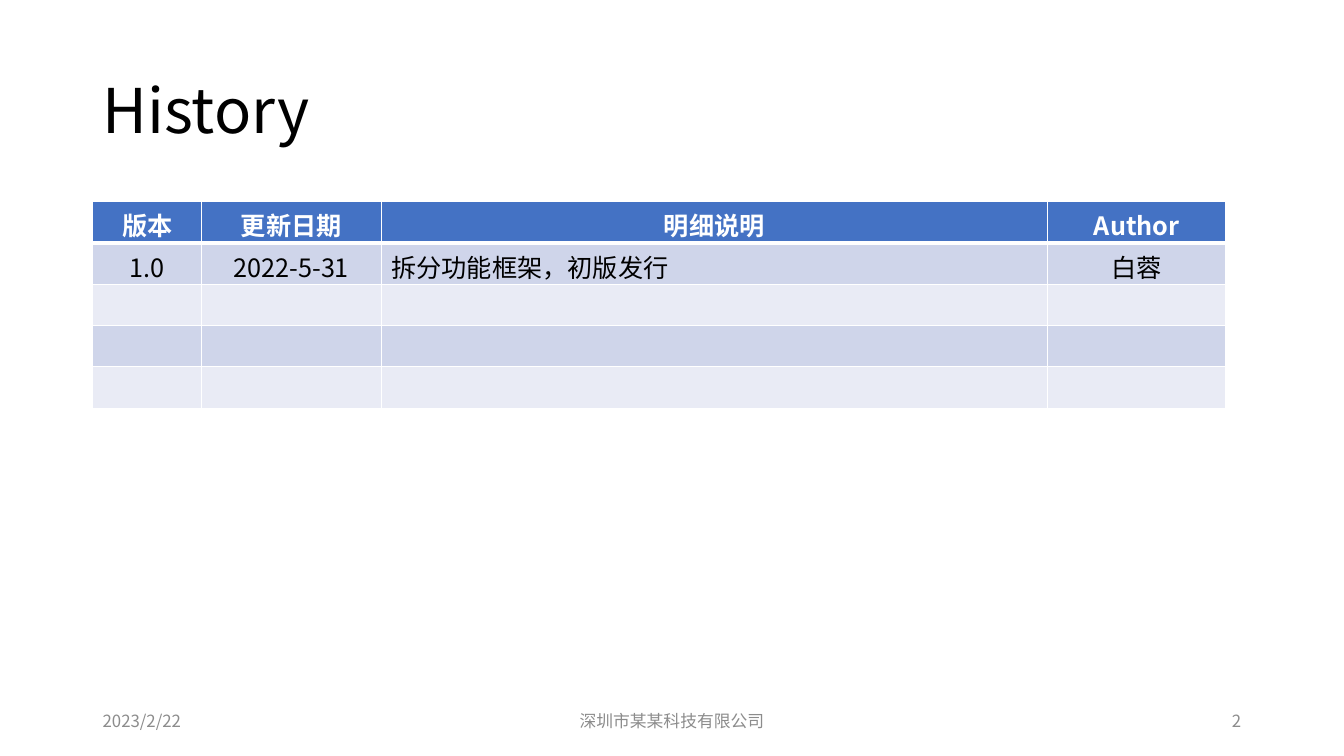
"""Build the version history slide with its table and footer."""
from lxml import etree
from pptx import Presentation
from pptx.dml.color import RGBColor
from pptx.enum.text import MSO_ANCHOR, PP_ALIGN
from pptx.oxml.ns import qn
from pptx.util import Inches, Pt

LEFT, CENTER, RIGHT = PP_ALIGN.LEFT, PP_ALIGN.CENTER, PP_ALIGN.RIGHT
MIDDLE = MSO_ANCHOR.MIDDLE
FONT = "Noto Sans CJK SC"
WHITE = RGBColor(0xFF, 0xFF, 0xFF)
BLACK = RGBColor(0x00, 0x00, 0x00)
GRAY = RGBColor(0x8C, 0x8C, 0x8C)
BLUE = RGBColor(0x44, 0x72, 0xC4)
BANDS = [RGBColor(0xE9, 0xEB, 0xF5), RGBColor(0xCF, 0xD5, 0xEA)]

W, H = 13.33, 7.5
MARGIN = 0.92
COLS = [1.08, 1.78, 6.61, 1.77]
ROW_H = 0.41
ROWS = [
    ["版本", "更新日期", "明细说明", "Author"],
    ["1.0", "2022-5-31", "拆分功能框架，初版发行", "白蓉"],
] + [[""] * len(COLS)] * 3


def style(p, size, color, align, bold=False):
    p.alignment = align
    for r in p.runs:
        r.font.size, r.font.bold, r.font.name = Pt(size), bold, FONT
        r.font.color.rgb = color
        etree.SubElement(r.font._element, qn("a:ea"), typeface=FONT)


def add_text(x, y, w, h, text, size, color, align):
    tf = s.shapes.add_textbox(Inches(x), Inches(y), Inches(w), Inches(h)).text_frame
    tf.word_wrap, tf.vertical_anchor = True, MIDDLE
    p = tf.paragraphs[0]
    p.text = text
    style(p, size, color, align)
    return p


prs = Presentation()
prs.slide_width, prs.slide_height = Inches(W), Inches(H)
s = prs.slides.add_slide(prs.slide_layouts[6])

title = add_text(MARGIN, 0.4, 11.5, 1.45, "History", 44, BLACK, LEFT)
title.line_spacing = 0.9

table = s.shapes.add_table(len(ROWS), len(COLS), Inches(MARGIN), Inches(2),
                           Inches(sum(COLS)), Inches(ROW_H * len(ROWS))).table
for col, width in zip(table.columns, COLS):
    col.width = Inches(width)

for i, row in enumerate(ROWS):
    table.rows[i].height = Inches(ROW_H)
    for j, text in enumerate(row):
        cell = table.cell(i, j)
        p = cell.text_frame.paragraphs[0]
        p.text = text
        align = LEFT if i and j == 2 else CENTER
        style(p, 18, BLACK if i else WHITE, align, bold=i == 0)
        if not text:
            end = etree.SubElement(p._p, qn("a:endParaRPr"), sz="1800")
            for tag in ("a:latin", "a:ea"):
                etree.SubElement(end, qn(tag), typeface=FONT)
        tcPr = cell._tc.get_or_add_tcPr()
        for side in ("L", "R", "T", "B"):
            thick = (i, side) in ((0, "B"), (1, "T"))
            ln = etree.SubElement(tcPr, qn(f"a:ln{side}"), w=str(Pt(3 if thick else 1)))
            fill = etree.SubElement(ln, qn("a:solidFill"))
            etree.SubElement(fill, qn("a:srgbClr"), val=str(WHITE))
        cell.fill.solid()
        cell.fill.fore_color.rgb = BANDS[i % 2] if i else BLUE

FOOTERS = [
    (MARGIN, 3, "2023/2/22", LEFT),
    ((W - 4.5) / 2, 4.5, "深圳市某某科技有限公司", CENTER),
    (W - MARGIN - 3, 3, "2", RIGHT),
]
for x, w, text, align in FOOTERS:
    add_text(x, 6.95, w, 0.4, text, 12, GRAY, align)

prs.save("out.pptx")
